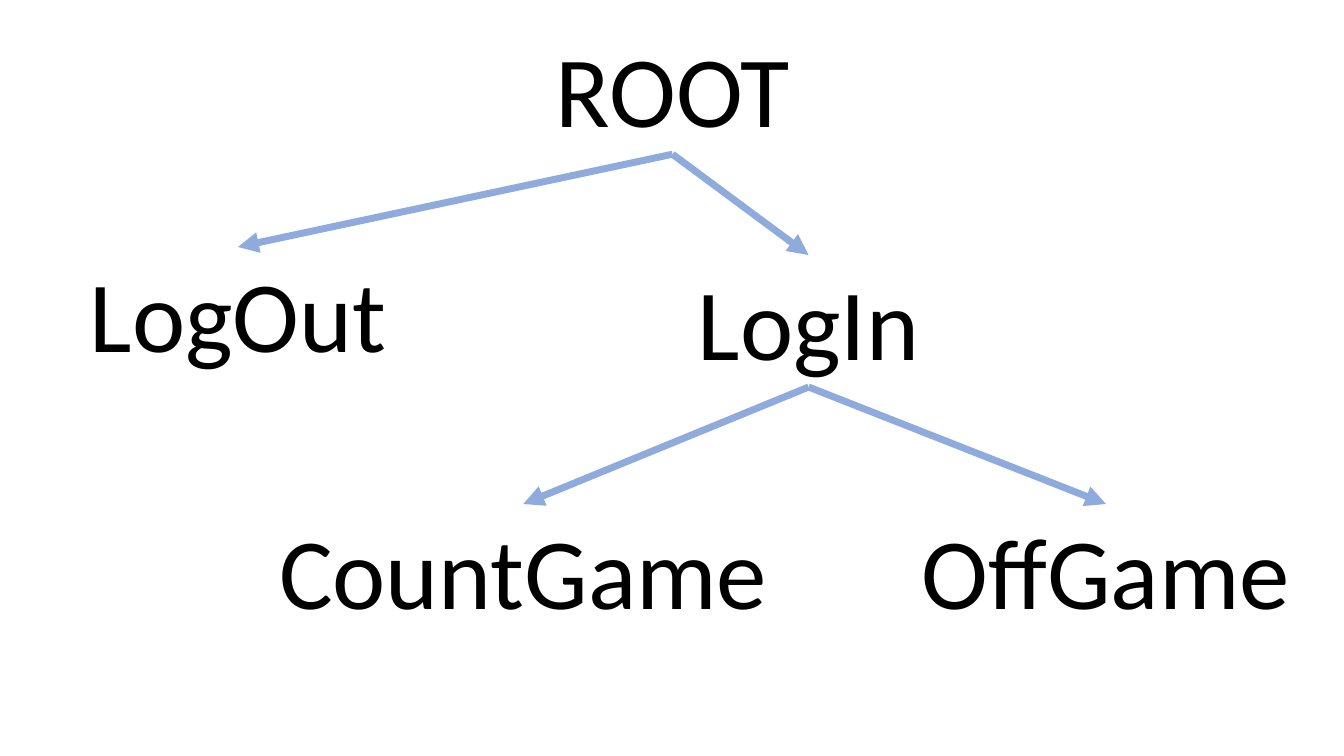
from lxml.etree import SubElement
from pptx import Presentation
from pptx.dml.color import RGBColor
from pptx.enum.shapes import MSO_CONNECTOR
from pptx.enum.text import MSO_AUTO_SIZE, PP_ALIGN
from pptx.oxml.ns import qn
from pptx.util import Inches, Pt

BLACK = RGBColor(0x00, 0x00, 0x00)
BLUE = RGBColor(0x8F, 0xAA, 0xDC)
LABEL_HEIGHT = 1.31

# Tree nodes: name -> (center x, top, width)
NODES = {
    "ROOT": (6.67, 0.22, 2.71),
    "LogOut": (2.36, 2.45, 3.74),
    "LogIn": (8.02, 2.53, 3.74),
    "CountGame": (5.19, 5, 5.66),
    "OffGame": (10.97, 5, 4.17),
}
BRANCHES = [
    ("ROOT", "LogOut"),
    ("ROOT", "LogIn"),
    ("LogIn", "CountGame"),
    ("LogIn", "OffGame"),
]


class TreeSlide:
    font_name = "Calibri"
    font_size = Pt(72)
    line_width = Pt(5)

    def __init__(self, slide):
        self.slide = slide

    def label(self, text, center, top, width):
        shape = self.slide.shapes.add_textbox(
            Inches(center - width / 2), Inches(top), Inches(width), Inches(LABEL_HEIGHT))
        frame = shape.text_frame
        frame.word_wrap = True
        frame.auto_size = MSO_AUTO_SIZE.SHAPE_TO_FIT_TEXT
        paragraph = frame.paragraphs[0]
        paragraph.text = text
        paragraph.alignment = PP_ALIGN.CENTER
        paragraph.font.name = self.font_name
        paragraph.font.size = self.font_size
        paragraph.font.color.rgb = BLACK

    def arrow(self, start, end):
        connector = self.slide.shapes.add_connector(
            MSO_CONNECTOR.STRAIGHT, *map(Inches, start + end))
        connector.line.color.rgb = BLUE
        connector.line.width = self.line_width
        properties = connector.line._get_or_add_ln()
        SubElement(properties, qn("a:tailEnd"), type="triangle")
        SubElement(connector._element.spPr, qn("a:effectLst"))


presentation = Presentation()
presentation.slide_width = Inches(13.33)
presentation.slide_height = Inches(7.5)
tree = TreeSlide(presentation.slides.add_slide(presentation.slide_layouts[6]))

# Node labels
for name, (center, top, width) in NODES.items():
    tree.label(name, center, top, width)

# Arrows from the bottom of each parent to the top of its child
for parent, child in BRANCHES:
    parent_center, parent_top, _ = NODES[parent]
    child_center, child_top, _ = NODES[child]
    tree.arrow((parent_center, parent_top + LABEL_HEIGHT), (child_center, child_top))

presentation.save("out.pptx")
